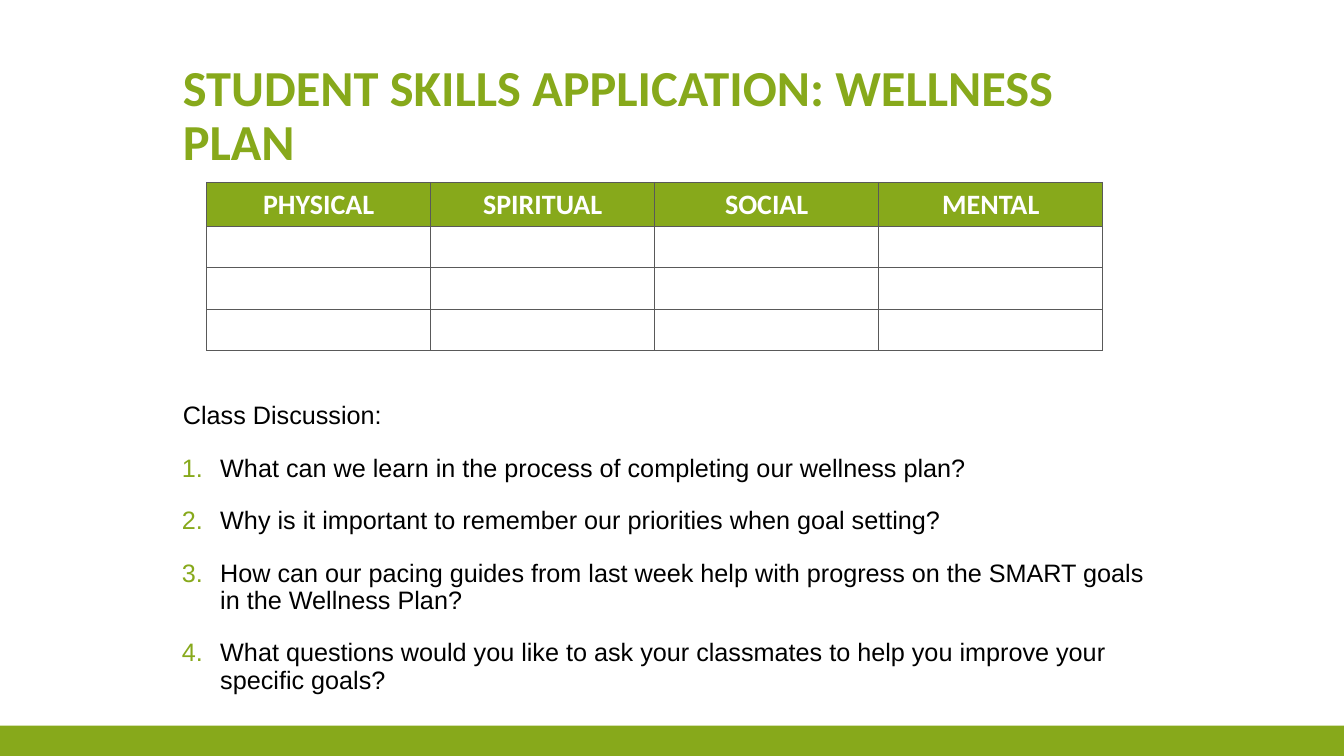
import dataclasses

import lxml.etree
import pptx
import pptx.dml.color
import pptx.enum.shapes
import pptx.enum.text
import pptx.oxml.ns
import pptx.util

COLORS = {"green": "87A91B", "black": "000000", "white": "FFFFFF", "border": "595959"}

SLIDE_WIDTH = pptx.util.Inches(13.33)
SLIDE_HEIGHT = pptx.util.Inches(7.5)
GRID_COLUMNS, GRID_ROWS = 160, 150

ALIGN = pptx.enum.text.PP_ALIGN
ANCHOR = pptx.enum.text.MSO_ANCHOR

TITLE = "STUDENT SKILLS APPLICATION: WELLNESS PLAN"
WELLNESS_AREAS = ("PHYSICAL", "SPIRITUAL", "SOCIAL", "MENTAL")
GOAL_ROWS = 3
DISCUSSION_HEADING = "Class Discussion:"
QUESTIONS = (
    "What can we learn in the process of completing our wellness plan?",
    "Why is it important to remember our priorities when goal setting?",
    "How can our pacing guides from last week help with progress on the SMART goals in the Wellness Plan?",
    "What questions would you like to ask your classmates to help you improve your specific goals?",
)

TITLE_FONT = {"name": "Calibri", "size": pptx.util.Pt(36), "bold": True}
HEADER_FONT = {"name": "Calibri", "size": pptx.util.Pt(20), "bold": True}
DISCUSSION_FONT = {"name": "Arial", "size": pptx.util.Pt(18), "bold": False}
TITLE_SPACING = {"alignment": ALIGN.LEFT, "line_spacing": 0.9}
DISCUSSION_SPACING = TITLE_SPACING | {"space_before": pptx.util.Pt(18)}


@dataclasses.dataclass(frozen=True)
class Area:
    """A block of the slide, in columns and rows of the grid."""
    column: float
    row: float
    columns: float
    rows: float

    def box(self) -> tuple[int, int, int, int]:
        return (
            round(SLIDE_WIDTH * self.column / GRID_COLUMNS),
            round(SLIDE_HEIGHT * self.row / GRID_ROWS),
            round(SLIDE_WIDTH * self.columns / GRID_COLUMNS),
            round(SLIDE_HEIGHT * self.rows / GRID_ROWS),
        )


@dataclasses.dataclass(frozen=True)
class Line:
    text: str
    font: dict
    color: str
    spacing: dict
    left: float = 0.05
    hanging: float = 0
    numbered: bool = False


TITLE_AREA = Area(20, 10, 120, 25)
PLAN_AREA = Area(24.6, 36.2, 106.7, 33)
DISCUSSION_AREA = Area(20, 79, 120, 61)
FOOTER_AREA = Area(0, 144, 160, 6)


def rgb(name: str) -> pptx.dml.color.RGBColor:
    return pptx.dml.color.RGBColor.from_string(COLORS[name])


def apply(target, settings: dict) -> None:
    for attribute, value in settings.items():
        setattr(target, attribute, value)


def add_child(parent, tag: str, **attributes: str):
    return lxml.etree.SubElement(parent, pptx.oxml.ns.qn(tag), attributes)


def write_line(paragraph, line: Line) -> None:
    apply(paragraph, line.spacing)
    properties = paragraph._p.get_or_add_pPr()
    properties.set("marL", str(pptx.util.Inches(line.left)))
    properties.set("indent", str(pptx.util.Inches(-line.hanging)))
    if line.numbered:
        add_child(add_child(properties, "a:buClr"), "a:srgbClr", val=COLORS["green"])
        add_child(properties, "a:buAutoNum", type="arabicPeriod")
    run = paragraph.add_run()
    run.text = line.text
    apply(run.font, line.font)
    run.font.color.rgb = rgb(line.color)


def add_text(slide, area: Area, lines: list[Line], anchor) -> None:
    frame = slide.shapes.add_textbox(*area.box()).text_frame
    apply(frame, {"word_wrap": True, "vertical_anchor": anchor})
    for index, line in enumerate(lines):
        write_line(frame.add_paragraph() if index else frame.paragraphs[0], line)


def add_borders(cell) -> None:
    properties = cell._tc.get_or_add_tcPr()
    for side in ("a:lnL", "a:lnR", "a:lnT", "a:lnB"):
        border = add_child(properties, side, w=str(pptx.util.Pt(1)))
        add_child(add_child(border, "a:solidFill"), "a:srgbClr", val=COLORS["border"])


def add_plan_table(slide) -> None:
    plan = slide.shapes.add_table(GOAL_ROWS + 1, len(WELLNESS_AREAS), *PLAN_AREA.box()).table
    apply(plan, {"first_row": False, "horz_banding": False})
    for cell in plan.iter_cells():
        add_borders(cell)
        cell.fill.background()
    for cell, wellness_area in zip(plan.rows[0].cells, WELLNESS_AREAS):
        cell.fill.solid()
        cell.fill.fore_color.rgb = rgb("green")
        write_line(
            cell.text_frame.paragraphs[0],
            Line(wellness_area, HEADER_FONT, "white", {"alignment": ALIGN.CENTER}, left=0),
        )


def add_footer(slide) -> None:
    footer = slide.shapes.add_shape(pptx.enum.shapes.MSO_SHAPE.RECTANGLE, *FOOTER_AREA.box())
    footer.shadow.inherit = False
    footer.fill.solid()
    footer.fill.fore_color.rgb = rgb("green")
    footer.line.fill.background()


def main() -> None:
    deck = pptx.Presentation()
    apply(deck, {"slide_width": SLIDE_WIDTH, "slide_height": SLIDE_HEIGHT})
    slide = deck.slides.add_slide(deck.slide_layouts[6])

    add_footer(slide)
    add_text(slide, TITLE_AREA, [Line(TITLE, TITLE_FONT, "green", TITLE_SPACING)], ANCHOR.BOTTOM)
    discussion = [Line(DISCUSSION_HEADING, DISCUSSION_FONT, "black", DISCUSSION_SPACING)]
    discussion += [
        Line(question, DISCUSSION_FONT, "black", DISCUSSION_SPACING, 0.42, 0.38, numbered=True)
        for question in QUESTIONS
    ]
    add_text(slide, DISCUSSION_AREA, discussion, ANCHOR.TOP)
    add_plan_table(slide)
    deck.save("out.pptx")


if __name__ == "__main__":
    main()
